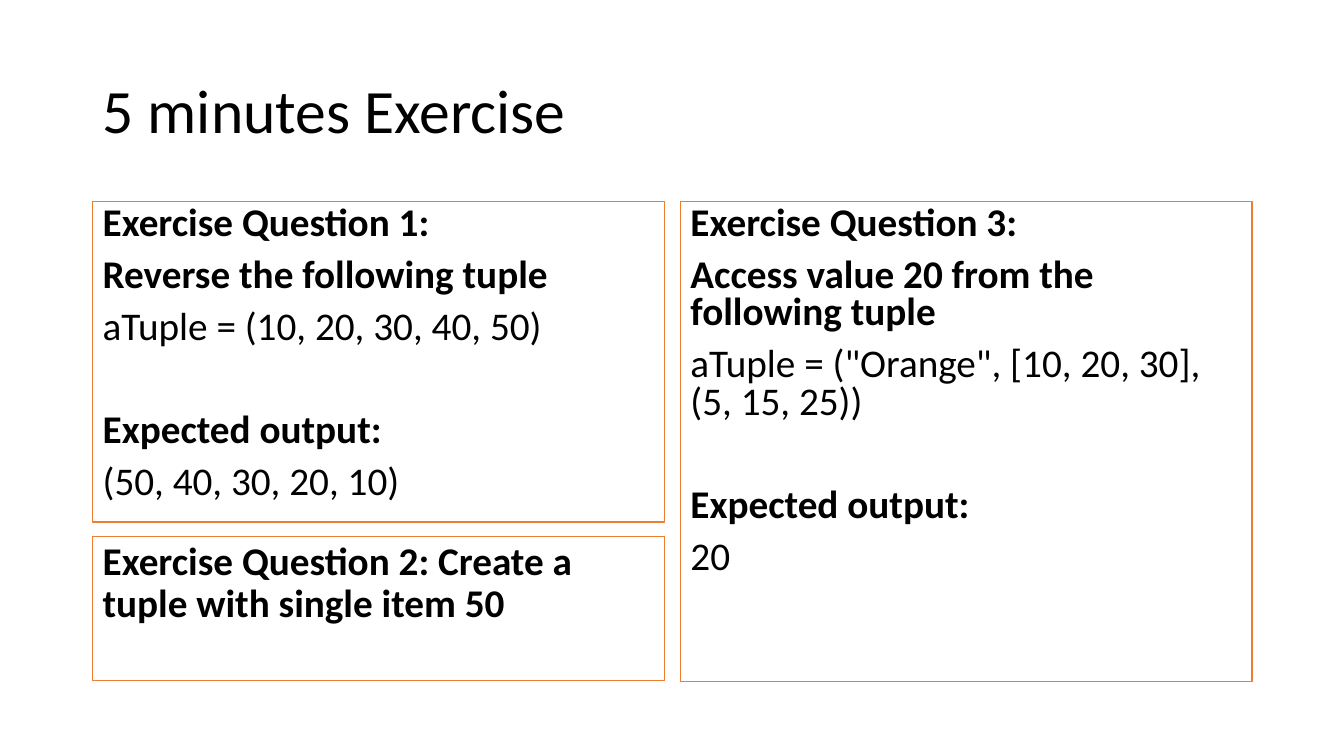
from dataclasses import dataclass

from pptx import Presentation
from pptx import util as u
from pptx.dml.color import RGBColor
from pptx.enum import shapes, text
from pptx.shapes.autoshape import Shape
from pptx.text.text import TextFrame

BLACK = RGBColor(0x00, 0x00, 0x00)
WHITE = RGBColor(0xFF, 0xFF, 0xFF)
ORANGE = RGBColor(0xED, 0x7D, 0x31)

LEFT, TOP = 0.92, 2.0
RIGHT_LEFT = 6.75
COLUMN_WIDTH = 5.67
PARAGRAPH_GAP = 10
SECTION_GAP = 47


@dataclass(frozen=True)
class Line:
    words: str
    bold: bool = False
    before: float = PARAGRAPH_GAP


@dataclass(frozen=True)
class Exercise:
    left: float
    top: float
    height: float
    spacing: float
    lines: tuple[Line, ...]


EXERCISES = (
    Exercise(LEFT, TOP, 3.18, 0.8, (
        Line("Exercise Question 1:", bold=True),
        Line("Reverse the following tuple", bold=True),
        Line("aTuple = (10, 20, 30, 40, 50)"),
        Line("Expected output:", bold=True, before=SECTION_GAP),
        Line("(50, 40, 30, 20, 10)"),
    )),
    Exercise(RIGHT_LEFT, TOP, 4.76, 0.8, (
        Line("Exercise Question 3:", bold=True),
        Line("Access value 20 from the following tuple", bold=True),
        Line('aTuple = ("Orange", [10, 20, 30], (5, 15, 25))'),
        Line("Expected output:", bold=True, before=SECTION_GAP),
        Line("20"),
    )),
    Exercise(LEFT, 5.32, 1.43, 0.9, (
        Line("Exercise Question 2: Create a tuple with single item 50", bold=True),
    )),
)


def write(frame: TextFrame, words: str, *, size: float, bold: bool = False,
          spacing: float = 0.9, before: float = 0) -> None:
    """Fill the empty first paragraph, or add one after the others."""
    first = frame.paragraphs[0]
    para = frame.add_paragraph() if first.runs else first
    para.alignment = text.PP_ALIGN.LEFT
    para.line_spacing = spacing
    para.space_before = u.Pt(before)
    span = para.add_run()
    span.text = words
    span.font.name = "Calibri"
    span.font.size = u.Pt(size)
    span.font.bold = bold
    span.font.color.rgb = BLACK


def draw_exercise(page, exercise: Exercise) -> Shape:
    box = page.shapes.add_shape(
        shapes.MSO_SHAPE.RECTANGLE, u.Inches(exercise.left), u.Inches(exercise.top),
        u.Inches(COLUMN_WIDTH), u.Inches(exercise.height))
    box.shadow.inherit = False
    box.fill.solid()
    box.fill.fore_color.rgb = WHITE
    box.line.color.rgb = ORANGE
    box.line.width = u.Pt(1)
    frame = box.text_frame
    frame.word_wrap = True
    frame.vertical_anchor = text.MSO_ANCHOR.TOP
    for line in exercise.lines:
        write(frame, line.words, size=28, bold=line.bold,
              spacing=exercise.spacing, before=line.before)
    return box


def main() -> None:
    deck = Presentation()
    deck.slide_width, deck.slide_height = u.Inches(13.33), u.Inches(7.5)
    page = deck.slides.add_slide(deck.slide_layouts[6])

    title = page.shapes.add_textbox(
        u.Inches(LEFT), u.Inches(0.4), u.Inches(11.5), u.Inches(1.45)).text_frame
    title.word_wrap = True
    title.vertical_anchor = text.MSO_ANCHOR.MIDDLE
    write(title, "5 minutes Exercise", size=44)

    for exercise in EXERCISES:
        draw_exercise(page, exercise)
    deck.save("out.pptx")


if __name__ == "__main__":
    main()
